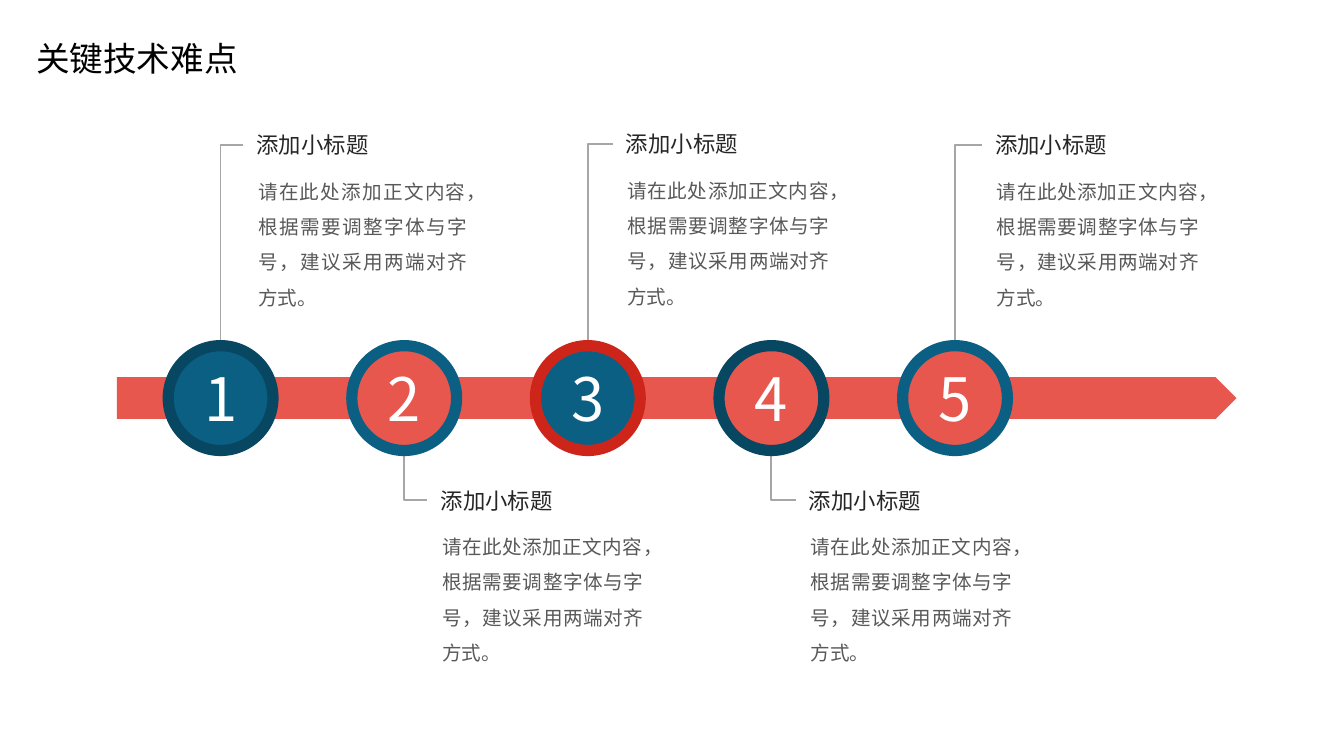
from pptx import Presentation
from pptx.dml.color import RGBColor
from pptx.enum.shapes import MSO_CONNECTOR, MSO_SHAPE
from pptx.enum.text import MSO_ANCHOR, MSO_AUTO_SIZE, PP_ALIGN
from pptx.oxml.ns import qn
from pptx.util import Cm, Pt
from lxml import etree

ELBOW = MSO_CONNECTOR.ELBOW
OVAL, PENTAGON = MSO_SHAPE.OVAL, MSO_SHAPE.PENTAGON
LEFT, CENTER, JUSTIFY = PP_ALIGN.LEFT, PP_ALIGN.CENTER, PP_ALIGN.JUSTIFY
TOP, NO_FIT = MSO_ANCHOR.TOP, MSO_AUTO_SIZE.NONE

FONT = "Noto Sans CJK SC"
BLACK = RGBColor(0x00, 0x00, 0x00)
WHITE = RGBColor(0xFF, 0xFF, 0xFF)
DARK = RGBColor(0x26, 0x26, 0x26)
GREY = RGBColor(0x59, 0x59, 0x59)
RULE = RGBColor(0xA6, 0xA6, 0xA6)
CORAL = RGBColor(0xE8, 0x57, 0x4E)
RED = RGBColor(0xCE, 0x25, 0x1B)
BLUE = RGBColor(0x0B, 0x5F, 0x83)
NAVY = RGBColor(0x08, 0x47, 0x62)

HEADING = "添加小标题"
BODY = "请在此处添加正文内容，根据需要调整字体与字号，建议采用两端对齐方式。"

# Timeline geometry in cm
FIRST_X, PITCH, AXIS_Y = 4.17, 3.47, 7.52
DIAMETER, BAR_H = 1.98, 0.79
HEAD_H = 0.76

# Per step: disc fill, ring, heading left, heading top, body width
STEPS = [
    (BLUE, NAVY, 4.6, 2.36, 4.45),
    (CORAL, BLUE, 8.08, 9.07, 4.3),
    (BLUE, RED, 11.58, 2.34, 4.32),
    (CORAL, NAVY, 15.04, 9.07, 4.32),
    (CORAL, BLUE, 18.56, 2.36, 4.32),
]


class Deck:
    def __init__(self, width, height):
        self.prs = Presentation()
        self.prs.slide_width, self.prs.slide_height = Cm(width), Cm(height)
        self.s = self.prs.slides.add_slide(self.prs.slide_layouts[5])

    def set_text(self, sp, text, size, color, align=LEFT, wrap=False, spacing=1.0):
        tf = sp.text_frame
        tf.auto_size, tf.word_wrap, tf.vertical_anchor = NO_FIT, wrap, TOP
        p = tf.paragraphs[0]
        p.alignment, p.line_spacing = align, spacing
        r = p.add_run()
        r.text = text
        r.font.size, r.font.name = Pt(size), FONT
        r.font.color.rgb = color
        ea = etree.SubElement(r.font._element, qn("a:ea"))
        ea.set("typeface", FONT)

    def title(self, x, y, w, h, text):
        sp = self.s.shapes.title
        sp.left, sp.top, sp.width, sp.height = Cm(x), Cm(y), Cm(w), Cm(h)
        self.set_text(sp, text, 18, BLACK)

    def text(self, x, y, w, h, *args, **style):
        sp = self.s.shapes.add_textbox(Cm(x), Cm(y), Cm(w), Cm(h))
        self.set_text(sp, *args, **style)

    def shape(self, kind, x, y, w, h, fill, ring=None):
        sp = self.s.shapes.add_shape(kind, Cm(x), Cm(y), Cm(w), Cm(h))
        sp.shadow.inherit = False
        sp.fill.solid()
        sp.fill.fore_color.rgb = fill
        if ring is None:
            sp.line.fill.background()
        else:
            sp.line.color.rgb = ring
            sp.line.width = Pt(6)

    def leader(self, x1, y1, x2, y2):
        """Right-angled line: horizontal first, then vertical."""
        sp = self.s.shapes.add_connector(ELBOW, Cm(x1), Cm(y1), Cm(x2), Cm(y2))
        sp.line.color.rgb = RULE
        sp.line.width = Pt(1)
        pr = sp._element.spPr
        pr.find(qn("a:prstGeom")).set("prst", "bentConnector2")
        etree.SubElement(pr, qn("a:effectLst"))


def main():
    deck = Deck(25.4, 14.28)
    deck.title(0.43, 0.58, 4.37, 1.02, "关键技术难点")
    radius = DIAMETER / 2

    # Captions with leader lines, alternating above and below the bar
    for i, (_, _, x, y, body_w) in enumerate(STEPS):
        deck.text(x, y, 2.64, HEAD_H, HEADING, 12, DARK)
        deck.text(x + 0.03, y + 0.69, body_w, 2.95, BODY, 10.5, GREY,
                  align=JUSTIFY, wrap=True, spacing=1.5)
        edge = AXIS_Y - radius if i % 2 == 0 else AXIS_Y + radius
        deck.leader(x, y + HEAD_H / 2, FIRST_X + i * PITCH, edge)

    # Arrow bar
    deck.shape(PENTAGON, 2.21, AXIS_Y - BAR_H / 2, 21.16, BAR_H, CORAL)

    # Numbered discs
    for i, (fill, ring, *_) in enumerate(STEPS):
        cx = FIRST_X + i * PITCH
        deck.shape(OVAL, cx - radius, AXIS_Y - radius, DIAMETER, DIAMETER, fill, ring)
        deck.text(cx - 0.58, AXIS_Y - 0.81, 1.16, 1.62, str(i + 1), 32, WHITE,
                  align=CENTER)

    deck.prs.save("out.pptx")


if __name__ == "__main__":
    main()
